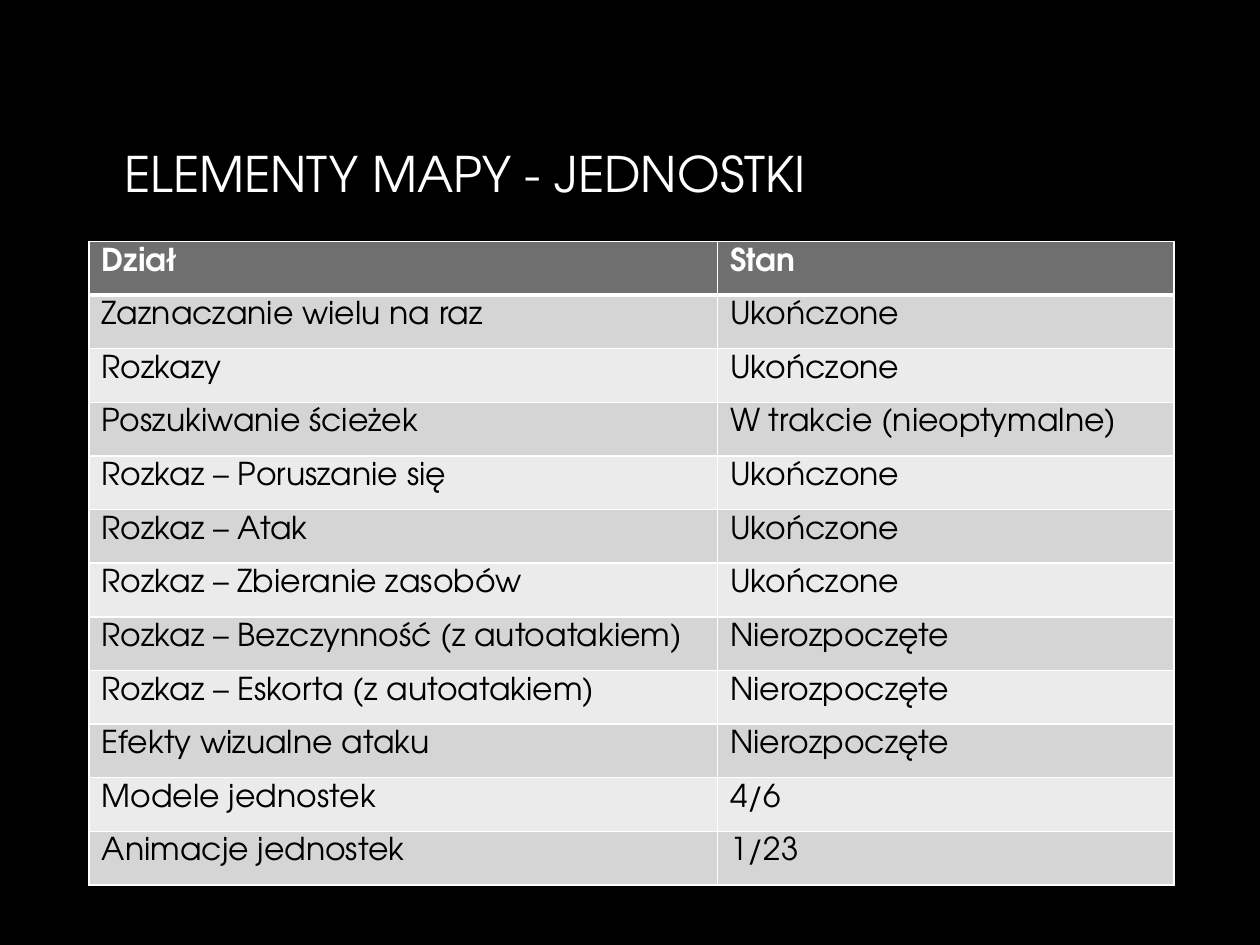
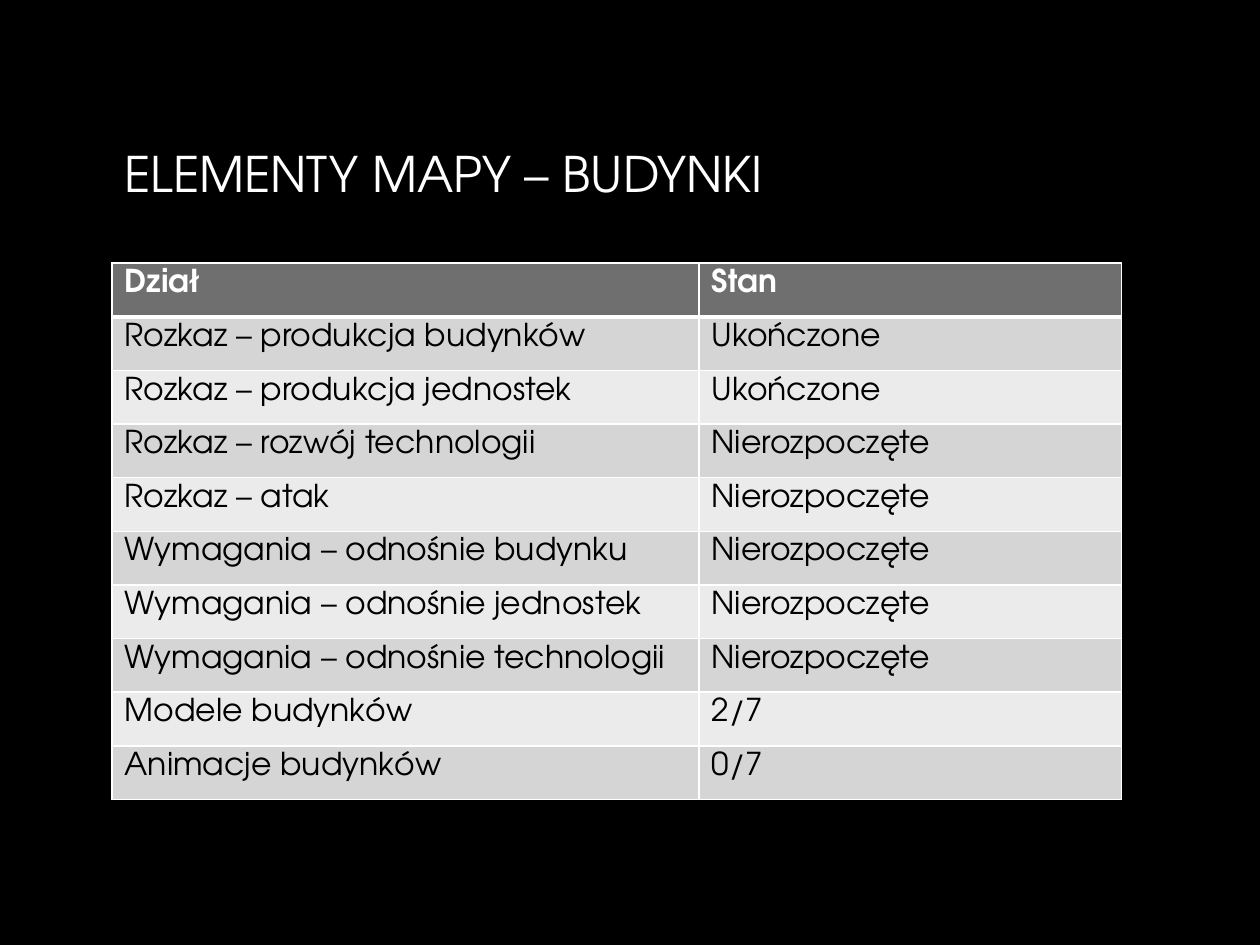
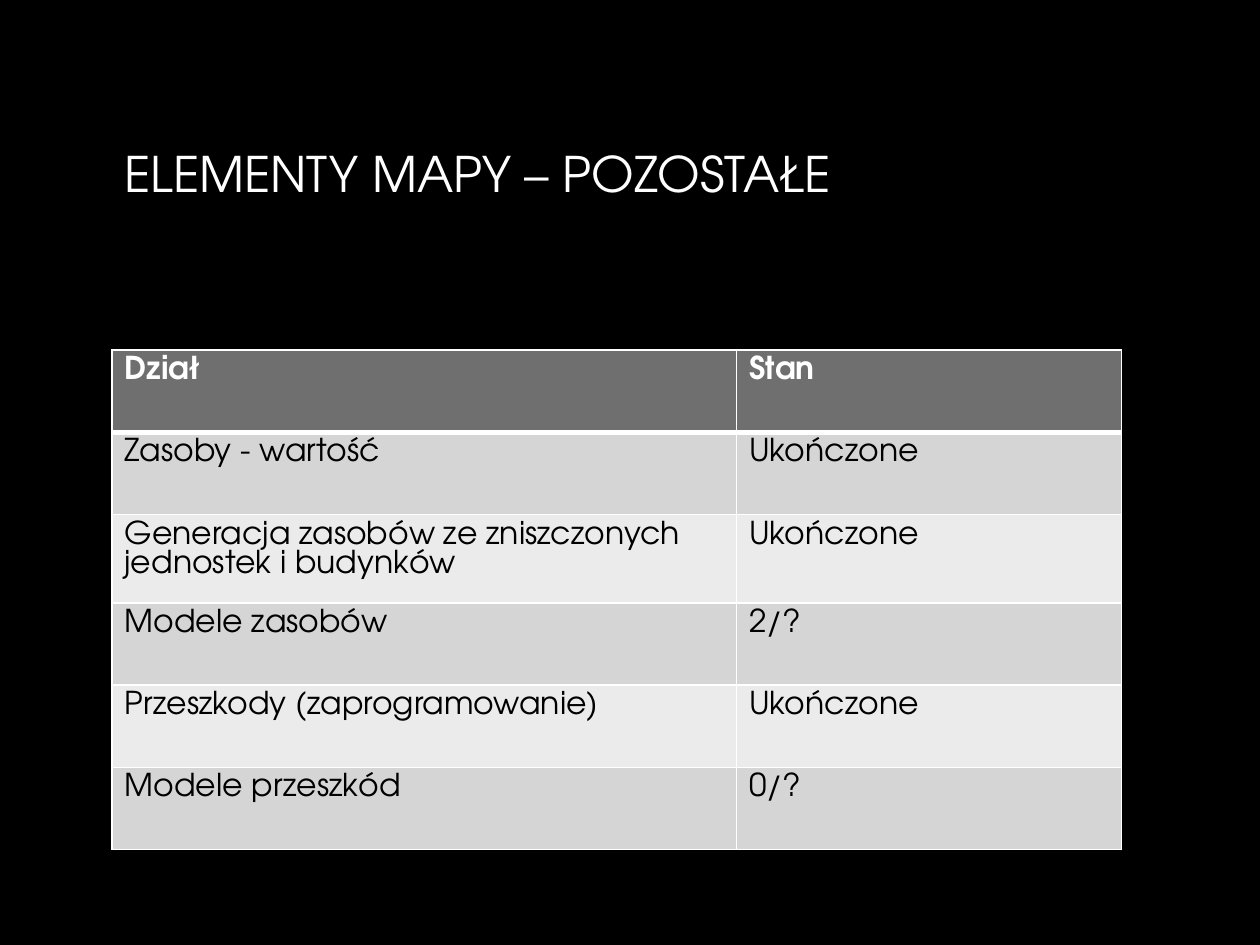
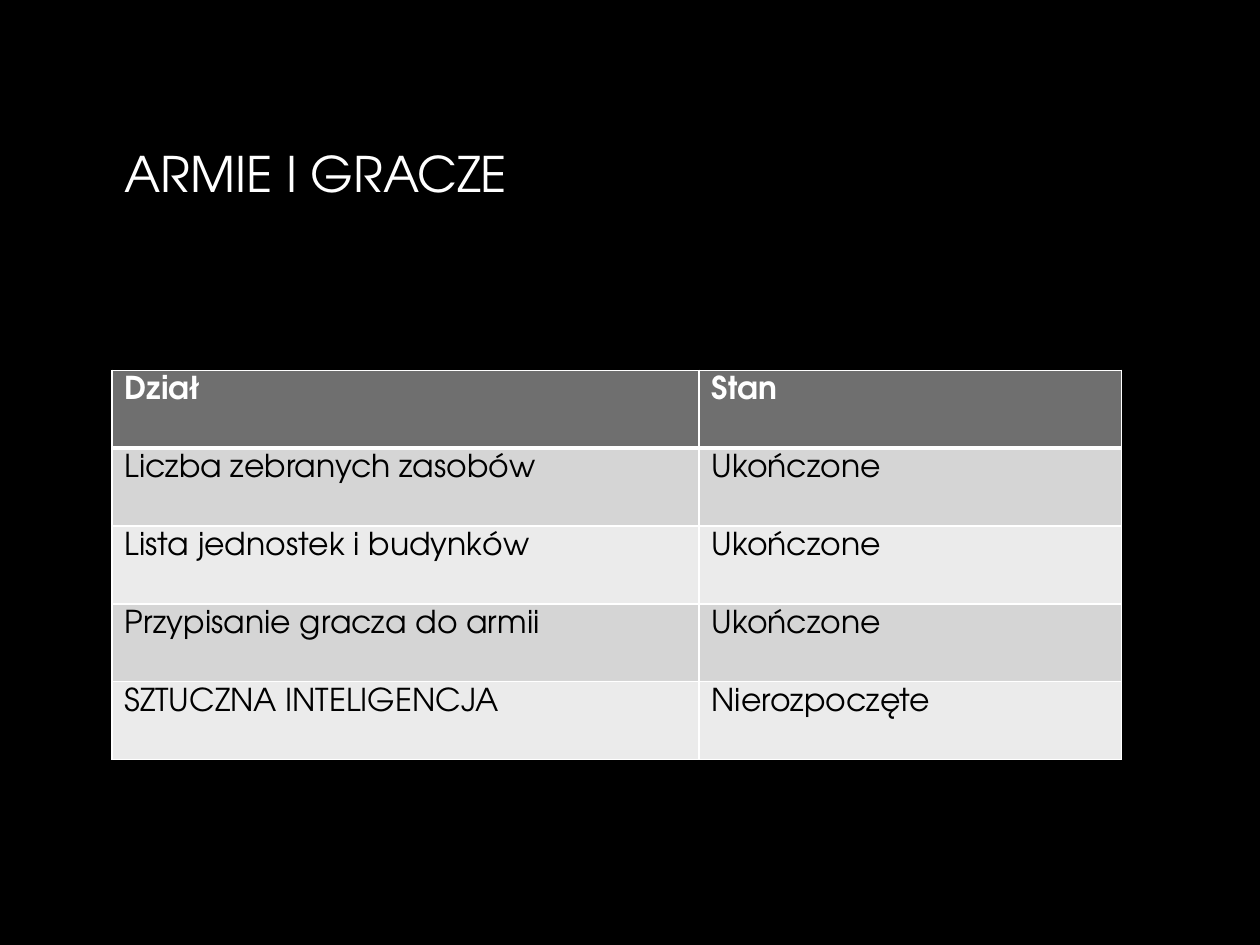
from dataclasses import dataclass

from lxml.etree import SubElement
from pptx import Presentation
from pptx.dml.color import RGBColor
from pptx.enum.text import MSO_ANCHOR
from pptx.oxml.ns import qn
from pptx.util import Pt


# Shared look: colours, font, type sizes and line widths
@dataclass(frozen=True)
class Theme:
    back: str = "000000"
    white: str = "FFFFFF"
    fade: str = "BFBFBF"
    ink: str = "000000"
    head: str = "6F6F6F"
    bands: tuple = ("D5D5D5", "EBEBEB")
    font: str = "TeX Gyre Adventor"
    title: float = 28
    body: float = 18
    thin: float = 1
    thick: float = 3


THEME = Theme()
LEFT = 64
DONE = "Ukończone"
TODO = "Nierozpoczęte"
HEADS = ("Dział", "Stan")

# Table content
UNITS = [
    ("Zaznaczanie wielu na raz", DONE),
    ("Rozkazy", DONE),
    ("Poszukiwanie ścieżek", "W trakcie (nieoptymalne)"),
    ("Rozkaz – Poruszanie się", DONE),
    ("Rozkaz – Atak", DONE),
    ("Rozkaz – Zbieranie zasobów", DONE),
    ("Rozkaz – Bezczynność (z autoatakiem)", TODO),
    ("Rozkaz – Eskorta (z autoatakiem)", TODO),
    ("Efekty wizualne ataku", TODO),
    ("Modele jednostek", "4/6"),
    ("Animacje jednostek", "1/23"),
]
BUILDS = [
    ("Rozkaz – produkcja budynków", DONE),
    ("Rozkaz – produkcja jednostek", DONE),
    ("Rozkaz – rozwój technologii", TODO),
    ("Rozkaz – atak", TODO),
    ("Wymagania – odnośnie budynku", TODO),
    ("Wymagania – odnośnie jednostek", TODO),
    ("Wymagania – odnośnie technologii", TODO),
    ("Modele budynków", "2/7"),
    ("Animacje budynków", "0/7"),
]
OTHERS = [
    ("Zasoby - wartość", DONE),
    ("Generacja zasobów ze zniszczonych jednostek i budynków", DONE),
    ("Modele zasobów", "2/?"),
    ("Przeszkody (zaprogramowanie)", DONE),
    ("Modele przeszkód", "0/?"),
]
ARMIES = [
    ("Liczba zebranych zasobów", DONE),
    ("Lista jednostek i budynków", DONE),
    ("Przypisanie gracza do armii", DONE),
    ("SZTUCZNA INTELIGENCJA", TODO),
]


def tint(hue):
    return RGBColor.from_string(hue)


def add_run(frame, text, size, bold=False):
    run = frame.paragraphs[0].add_run()
    run.text = text
    run.font.name = THEME.font
    run.font.size = Pt(size)
    run.font.bold = bold
    return run


def add_slide(deck):
    slide = deck.slides.add_slide(deck.slide_layouts[6])
    fill = slide.background.fill
    fill.solid()
    fill.fore_color.rgb = tint(THEME.back)
    return slide


def add_title(slide, text):
    box = slide.shapes.add_textbox(Pt(LEFT), Pt(46.8), Pt(591), Pt(103.7))
    frame = box.text_frame
    frame.word_wrap = True
    frame.vertical_anchor = MSO_ANCHOR.MIDDLE
    fill = add_run(frame, text, THEME.title).font.fill
    # Fade from white at the top to grey at the foot
    fill.gradient()
    fill.gradient_angle = 270
    for stop, hue in zip(fill.gradient_stops, (THEME.white, THEME.fade)):
        stop.color.rgb = tint(hue)


def add_edge(cell, side, width):
    props = cell._tc.get_or_add_tcPr()
    line = SubElement(props, qn(f"a:ln{side}"), w=str(Pt(width)))
    solid = SubElement(line, qn("a:solidFill"))
    SubElement(solid, qn("a:srgbClr"), val=THEME.white)


def fill_cell(cell, text, row):
    head = row == 0
    # Edges come before the fill; a body row takes its top from the row above
    for side in "LRTB" if head else "LRB":
        heavy = head and side == "B"
        add_edge(cell, side, THEME.thick if heavy else THEME.thin)
    cell.fill.solid()
    hue = THEME.head if head else THEME.bands[(row - 1) % 2]
    cell.fill.fore_color.rgb = tint(hue)
    run = add_run(cell.text_frame, text, THEME.body, head)
    run.font.color.rgb = tint(THEME.white if head else THEME.ink)


def add_grid(slide, data, left, top, cols, high):
    rows = [HEADS, *data]
    shape = slide.shapes.add_table(
        len(rows), len(cols), Pt(left), Pt(top),
        Pt(sum(cols)), Pt(high * len(rows)))
    grid = shape.table
    for col, width in zip(grid.columns, cols):
        col.width = Pt(width)
    for i, texts in enumerate(rows):
        grid.rows[i].height = Pt(high)
        for j, text in enumerate(texts):
            fill_cell(grid.cell(i, j), text, i)


def main():
    deck = Presentation()
    deck.slide_width, deck.slide_height = Pt(720), Pt(540)
    # Title, rows, table left and top, column widths, row height
    pages = [
        ("ELEMENTY MAPY - JEDNOSTKI", UNITS, 51, 138, (359, 260.8), 30.67),
        ("ELEMENTY MAPY – BUDYNKI", BUILDS, LEFT, 150.4, (335.5, 241.5), 30.67),
        ("ELEMENTY MAPY – POZOSTAŁE", OTHERS, LEFT, 200, (357, 220), 47),
        ("ARMIE I GRACZE", ARMIES, LEFT, 211.6, (335.5, 241.5), 44.5),
    ]
    for title, *grid in pages:
        slide = add_slide(deck)
        add_title(slide, title)
        add_grid(slide, *grid)
    deck.save("out.pptx")


main()
